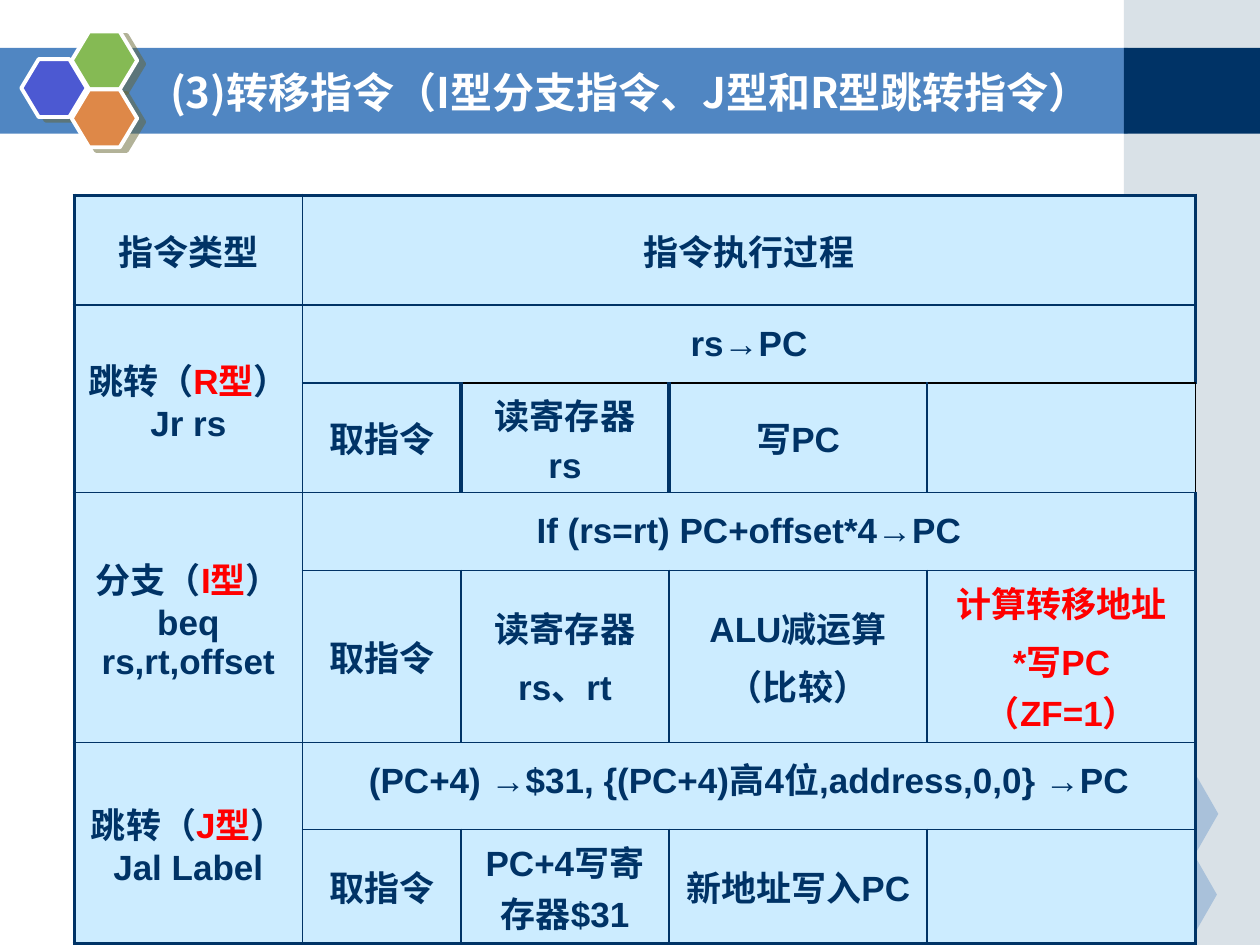
from lxml import etree
from pptx import Presentation
from pptx.dml.color import RGBColor
from pptx.enum.shapes import MSO_SHAPE as Shape
from pptx.enum.text import MSO_ANCHOR as Anchor, PP_ALIGN as Align
from pptx.oxml.ns import qn
from pptx.util import Pt

NAVY = RGBColor(0x00, 0x33, 0x66)
BLUE = RGBColor(0x50, 0x86, 0xC2)
MIST = RGBColor(0xA0, 0xB5, 0xC4)
PALE = RGBColor(0xCC, 0xEC, 0xFF)
INDIGO = RGBColor(0x4C, 0x59, 0xD2)
GREEN = RGBColor(0x85, 0xBA, 0x54)
ORANGE = RGBColor(0xDE, 0x88, 0x48)
OLIVE = RGBColor(0x66, 0x66, 0x33)
RED = RGBColor(0xFF, 0x00, 0x00)
WHITE = RGBColor(0xFF, 0xFF, 0xFF)
BLACK = RGBColor(0x00, 0x00, 0x00)

LATIN, CJK = "Arial", "Noto Sans CJK SC"
THIN, THICK = 1, 2.25
COLUMNS = [130.3, 90.7, 118.8, 147.6, 153.4]
ROWS = [62.6, 44.6, 44.6, 44.6, 64.1, 49.7, 56.9]

# (row, column): (row span, column span, paragraphs of (text, colour) runs)
CELLS = {
    (0, 0): (1, 1, [[("指令类型", NAVY)]]),
    (0, 1): (1, 4, [[("指令执行过程", NAVY)]]),
    (1, 0): (2, 1, [[("跳转（", NAVY), ("R型", RED), ("） Jr rs", NAVY)]]),
    (1, 1): (1, 4, [[("rs→PC", NAVY)]]),
    (2, 1): (1, 1, [[("取指令", NAVY)]]),
    (2, 2): (1, 1, [[("读寄存器", NAVY)], [("rs", NAVY)]]),
    (2, 3): (1, 1, [[("写PC", NAVY)]]),
    (2, 4): (1, 1, []),
    (3, 0): (2, 1, [[("分支（", NAVY), ("I型", RED), ("） beq rs,rt,offset", NAVY)]]),
    (3, 1): (1, 4, [[("If (rs=rt) PC+offset*4→PC", NAVY)]]),
    (4, 1): (1, 1, [[("取指令", NAVY)]]),
    (4, 2): (1, 1, [[("读寄存器", NAVY)], [("rs、rt", NAVY)]]),
    (4, 3): (1, 1, [[("ALU减运算", NAVY)], [("（比较）", NAVY)]]),
    (4, 4): (1, 1, [[("计算转移地址", RED)], [("*写PC（ZF=1）", RED)]]),
    (5, 0): (2, 1, [[("跳转（", NAVY), ("J型", RED), ("） Jal Label", NAVY)]]),
    (5, 1): (1, 4, [[("(PC+4) →$31, {(PC+4)高4位,address,0,0} →PC", NAVY)]]),
    (6, 1): (1, 1, [[("取指令", NAVY)]]),
    (6, 2): (1, 1, [[("PC+4写寄存器$31", NAVY)]]),
    (6, 3): (1, 1, [[("新地址写入PC", NAVY)]]),
    (6, 4): (1, 1, []),
}
SPECIAL_EDGES = {
    (2, 2): {"L": (NAVY, THICK), "R": (NAVY, THICK), "T": (BLACK, THIN)},
    (2, 3): {"L": (NAVY, THICK), "T": (BLACK, THIN)},
    (2, 4): {"R": (BLACK, THIN), "T": (BLACK, THIN)},
}


def add_color(parent, color, opacity=100):
    clr = etree.SubElement(parent, qn("a:srgbClr"), val=str(color))
    if opacity < 100:
        etree.SubElement(clr, qn("a:alpha"), val=str(opacity * 1000))


def add_block(slide, kind, box, color, opacity=100):
    block = slide.shapes.add_shape(kind, *(Pt(v) for v in box))
    block.shadow.inherit = False
    block.line.fill.background()
    block.fill.solid()
    block.fill.fore_color.rgb = color
    if opacity < 100:
        clr = block.fill._xPr.find(qn("a:solidFill"))[0]
        etree.SubElement(clr, qn("a:alpha"), val=str(opacity * 1000))
    return block


def add_run(paragraph, text, size, color, latin):
    run = paragraph.add_run()
    run.text = text
    run.font.size = Pt(size)
    run.font.bold = True
    run.font.color.rgb = color
    run.font.name = latin
    etree.SubElement(run.font._element, qn("a:ea"), typeface=CJK)


def add_side_panel(slide, left, top, width, height):
    add_block(slide, Shape.RECTANGLE, (left, top, width, height), MIST, 40)
    add_block(slide, Shape.RECTANGLE, (left, 27.4, width, 49), NAVY)
    for dx, y in ((-36, 468), (5.8, 444.2), (5, 490.3)):
        hexagon = add_block(slide, Shape.HEXAGON, (left + dx, y, 48.2, 41.8), BLUE, 35)
        hexagon.adjustments[0] = 0.286


def add_emblem(slide, left, top):
    for dx, dy, color in ((0, 15.8, INDIGO), (28.8, 0, GREEN), (28.8, 33.1, ORANGE)):
        hexagon = add_block(slide, Shape.HEXAGON, (left + dx, top + dy, 37.4, 33.1), color)
        hexagon.adjustments[0] = 0.3
        hexagon.line.color.rgb = WHITE
        hexagon.line.width = Pt(2.25)
        effects = hexagon._element.spPr.find(qn("a:effectLst"))
        shadow = etree.SubElement(effects, qn("a:outerShdw"), blurRad="0",
                                  dist=str(Pt(4.5)), dir=str(27 * 60000), rotWithShape="0")
        add_color(shadow, OLIVE, 50)


def place_title(slide, left, top, width, height):
    title = slide.shapes.title
    title.element.getparent().append(title.element)
    title.left, title.top, title.width, title.height = map(Pt, (left, top, width, height))
    title.text_frame.vertical_anchor = Anchor.MIDDLE
    heading = title.text_frame.paragraphs[0]
    heading.alignment = Align.LEFT
    add_run(heading, "(3)转移指令（I型分支指令、J型和R型跳转指令）", 24, WHITE, CJK)


def set_borders(cell, edges):
    props = cell._tc.get_or_add_tcPr()
    for index, (side, (color, width)) in enumerate(edges.items()):
        line = etree.Element(qn("a:ln" + side), w=str(Pt(width)))
        add_color(etree.SubElement(line, qn("a:solidFill")), color)
        props.insert(index, line)


def span_edges(row, column, last_row, last_column):
    edges = {
        "L": (NAVY, THIN if column else THICK),
        "R": (NAVY, THICK if last_column == len(COLUMNS) - 1 else THIN),
        "T": (NAVY, THIN if row else THICK),
        "B": (NAVY, THICK if last_row == len(ROWS) - 1 else THIN),
    }
    edges.update(SPECIAL_EDGES.get((row, column), {}))
    return edges


def fill_cell(cell, paragraphs):
    cell.vertical_anchor = Anchor.MIDDLE
    for index, runs in enumerate(paragraphs):
        frame = cell.text_frame
        paragraph = frame.add_paragraph() if index else frame.paragraphs[0]
        paragraph.alignment = Align.CENTER
        if index:
            paragraph.space_before = Pt(4)
        for text, color in runs:
            add_run(paragraph, text, 20, color, LATIN)


def add_instruction_table(slide, left, top):
    frame = slide.shapes.add_table(len(ROWS), len(COLUMNS), Pt(left), Pt(top),
                                   Pt(sum(COLUMNS)), Pt(sum(ROWS)))
    table = frame.table
    table.first_row = table.horz_banding = False
    for column, width in zip(table.columns, COLUMNS):
        column.width = Pt(width)
    for row, height in zip(table.rows, ROWS):
        row.height = Pt(height)
    for (row, column), (row_span, column_span, paragraphs) in CELLS.items():
        last_row, last_column = row + row_span - 1, column + column_span - 1
        origin = table.cell(row, column)
        if row_span * column_span > 1:
            origin.merge(table.cell(last_row, last_column))
        edges = span_edges(row, column, last_row, last_column)
        for r in range(row, last_row + 1):
            for c in range(column, last_column + 1):
                cell = table.cell(r, c)
                cell.fill.solid()
                cell.fill.fore_color.rgb = PALE
                outer = {"L": c == column, "R": c == last_column,
                         "T": r == row, "B": r == last_row}
                is_origin = (r, c) == (row, column)
                set_borders(cell, {s: e for s, e in edges.items() if is_origin or outer[s]})
        fill_cell(origin, paragraphs)
    table.cell(5, 1).text_frame.paragraphs[0].line_spacing = Pt(20)


def main():
    deck = Presentation()
    deck.slide_width, deck.slide_height = Pt(720), Pt(540)
    slide = deck.slides.add_slide(deck.slide_layouts[5])
    add_block(slide, Shape.RECTANGLE, (0, 27.4, 644.4, 49), BLUE)
    add_side_panel(slide, 642.2, 0, 77.8, 540)
    add_emblem(slide, 12.2, 18)
    place_title(slide, 90, 30.2, 582, 44.6)
    add_instruction_table(slide, 42.5, 111.6)
    deck.save("out.pptx")


if __name__ == "__main__":
    main()
